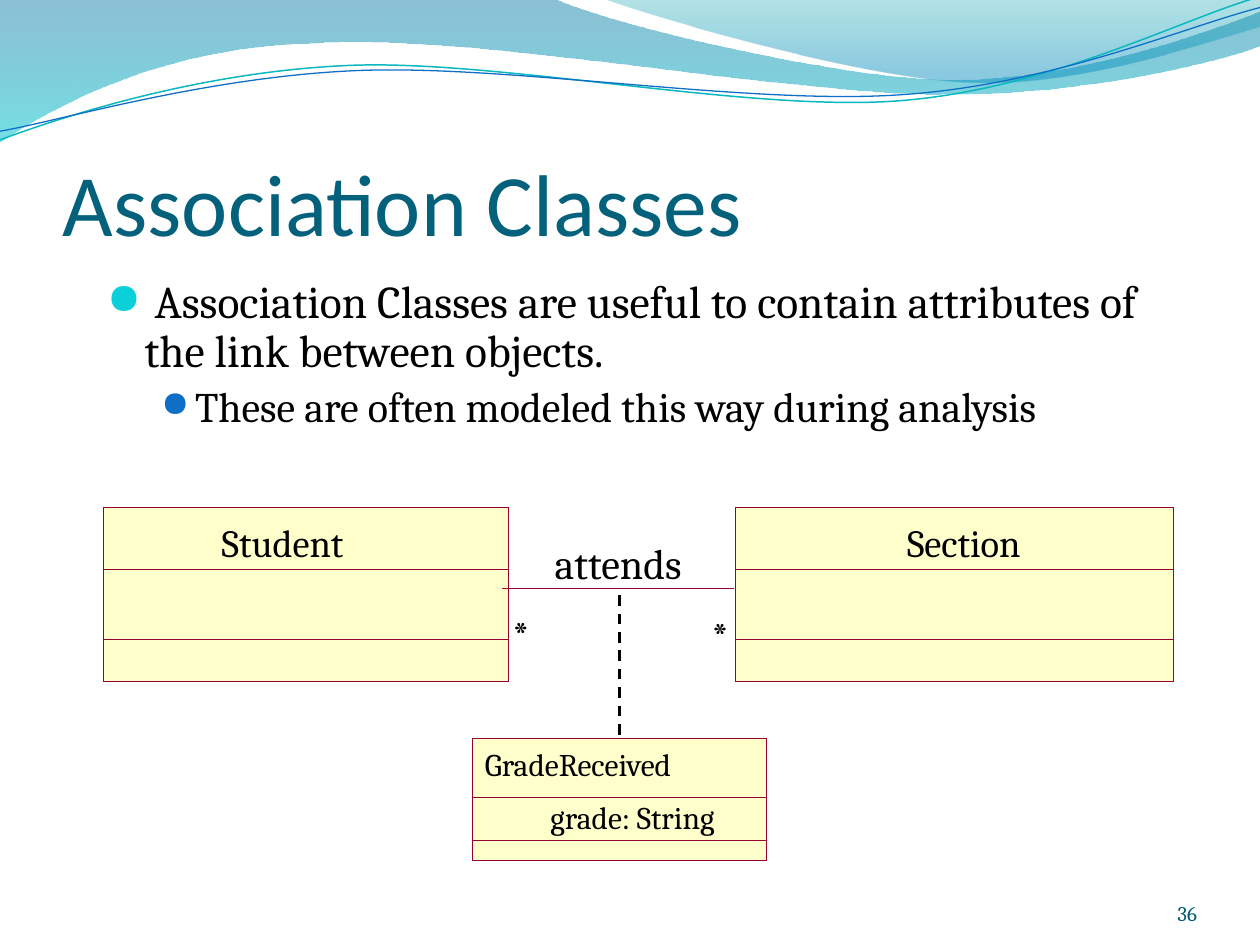
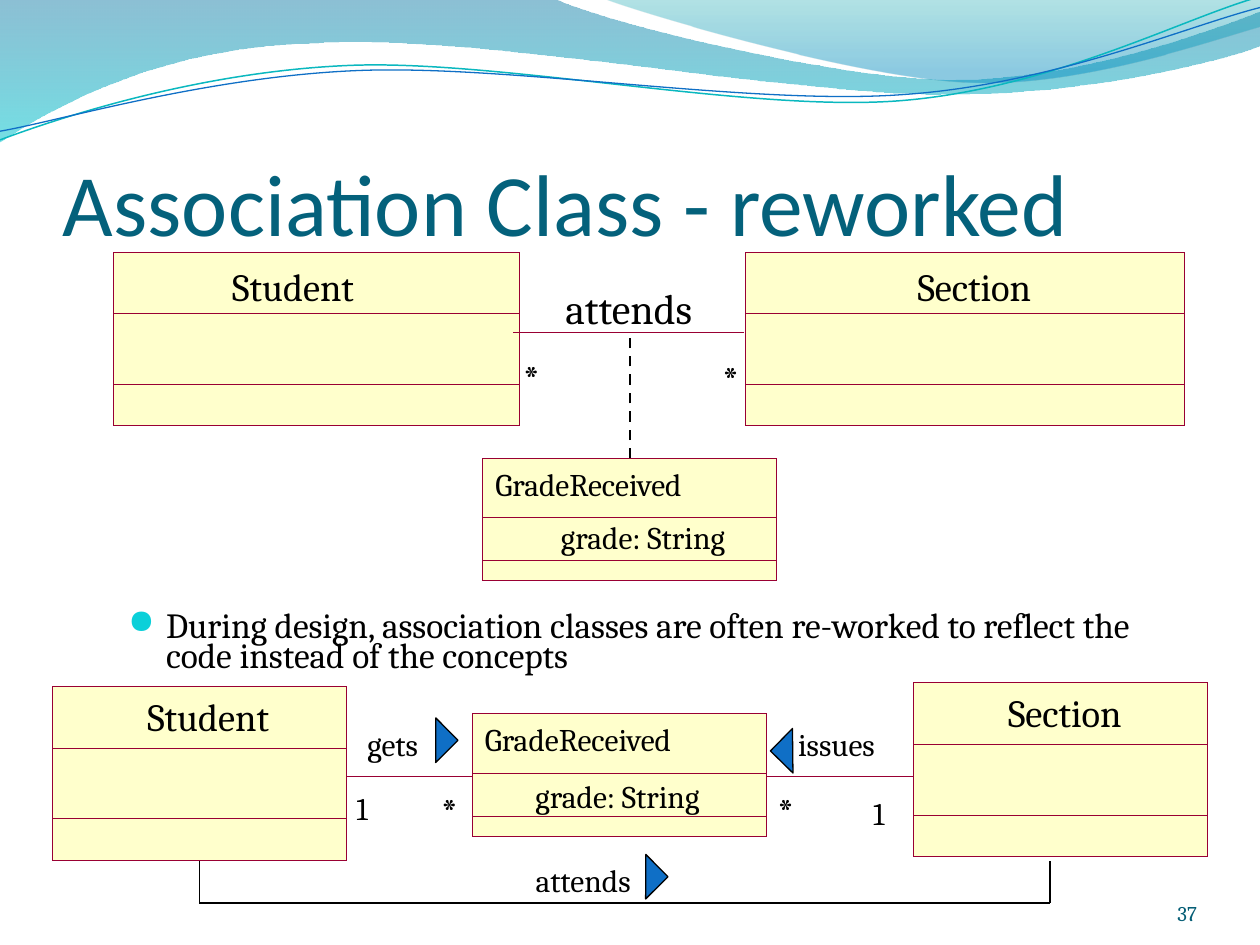
from lxml import etree
from pptx import Presentation
from pptx.dml.color import RGBColor
from pptx.enum.dml import MSO_LINE
from pptx.enum.shapes import MSO_CONNECTOR, MSO_SHAPE
from pptx.enum.text import MSO_ANCHOR, MSO_AUTO_SIZE, PP_ALIGN
from pptx.oxml.ns import qn
from pptx.util import Pt

RECTANGLE, RIGHT_TRIANGLE = MSO_SHAPE.RECTANGLE, MSO_SHAPE.RIGHT_TRIANGLE
STRAIGHT, DASH = MSO_CONNECTOR.STRAIGHT, MSO_LINE.DASH
TOP, BOTTOM = MSO_ANCHOR.TOP, MSO_ANCHOR.BOTTOM
LEFT, RIGHT = PP_ALIGN.LEFT, PP_ALIGN.RIGHT

HEADING_FONT, BODY_FONT, BULLET_FONT = "Calibri", "Cambria", "OpenSymbol"
TITLE_COLOR, NUMBER_COLOR, BLACK = "04617B", "045D75", "000000"
CLASS_FILL, CLASS_LINE, ARROW_FILL = "FFFFCC", "990033", "0F6FC6"
DEFAULT_INSETS, NO_INSETS = (7.2, 3.6, 7.2, 3.6), (0, 0, 0, 0)

# Each path is a start point, then lines (2 numbers) and cubic curves (6 numbers).
BANDS = [
    ([(0, 0), (316.8, -0.7), (342.7, 12.2, 478.1, 45.4, 545.8, 45.4),
      (614.2, 45.4, 689.8, 18.7, 720, 6.5), (720.7, 25.9),
      (707.8, 31.7, 626.4, 54.7, 537.1, 54), (447.8, 54, 275, 20.2, 185, 24.5),
      (92.9, 25.9, 33.1, 59.8, -0.7, 81.4)],
     [(0, "0074A1", 45), (1, "00C6CF", 55)]),
    ([(344.9, -0.7), (366.5, 7.9, 491, 44.6, 553.7, 46.8),
      (616.3, 49.7, 691.9, 23, 720, 15.1), (720, 0)],
     [(0, "00A1A9", 30), (0.8, "008BBF", 45)]),
]
STRAND_ROTATION = 357.3
STRANDS = [
    ([(-1.4, 63), (33.8, 51.7, 114.1, 29.4, 199.8, 29.9),
      (284.9, 30.3, 425.8, 67.3, 512.4, 64.9),
      (599, 62.4, 676.5, 25.7, 720.2, 15.5)], "0AB8BF", 0.85),
    ([(-1.1, 58), (32.9, 53.8, 118.3, 32.5, 204.1, 33),
      (290.6, 33.4, 428.9, 63.8, 515.5, 61.4),
      (601.3, 59.6, 678.5, 30.1, 721.4, 21.3)], "0F6FC6", 0.75),
]

# Bullet levels: indent, hanging, bullet colour, bullet size in percent
LEVELS = [(21.6, 21.6, "0BD0D9", 95), (50.4, 19.4, "0F6FC6", 85)]
# Bullets: level, text, size
USEFUL_BULLETS = [
    (0, " Association Classes are useful to contain attributes of the link between objects.", 26),
    (1, "These are often modeled this way during analysis", 24),
]
REWORK_BULLETS = [
    (0, "During design, association classes are often re-worked to reflect the code "
        "instead of the concepts", 20.2),
]

NAME_WIDTHS = {"Student": 75.6, "Section": 73.4}
CLASS_HEIGHT, DIVIDERS = 99.4, (35.3, 75.6)
SMALL_WIDTH = 167.8
SMALL_CLASSES = [("Section", 522, 390.2), ("Student", 30.2, 392.4)]
# Labels: text, left, top, width, size, insets
REWORK_LABELS = [
    ("*", 444.2, 450, 8.6, 22, NO_INSETS),
    ("*", 252, 450, 8.6, 22, NO_INSETS),
    ("gets", 210, 414.2, 33.8, 18, NO_INSETS),
    ("issues", 456, 414.2, 51.1, 18, NO_INSETS),
    ("attends", 306, 492, 59, 18, NO_INSETS),
    ("1", 196.6, 447.1, 24.5, 18, DEFAULT_INSETS),
    ("1", 491.8, 450, 24.5, 18, DEFAULT_INSETS),
]
REWORK_LINKS = [(522, 437.8), (270, 198)]
LINK_Y = 444
ARROWS = [(240, 414, 225.2), (444, 420, 44.4), (360, 492, 225.2)]
ATTENDS_ROUTE = [(114, 492), (114, 516), (600, 516), (600, 492)]


def rgb(color):
    return RGBColor.from_string(color)


def set_line(shape, color, width):
    """Colour a line; width 0 is written out, as it means a hairline."""
    shape.line.color.rgb = rgb(color)
    shape.element.spPr.find(qn("a:ln")).set("w", str(Pt(width)))


def style_frame(shape, insets, anchor=TOP):
    frame = shape.text_frame
    frame.word_wrap = True
    frame.vertical_anchor = anchor
    frame.margin_left, frame.margin_top, frame.margin_right, frame.margin_bottom = map(Pt, insets)
    return frame


def add_run(paragraph, text, size, color=BLACK, font=BODY_FONT, align=LEFT):
    paragraph.alignment = align
    run = paragraph.add_run()
    run.text = text
    run.font.size = Pt(size)
    run.font.name = font
    run.font.color.rgb = rgb(color)


def add_textbox(slide, box, insets, anchor=TOP):
    return style_frame(slide.shapes.add_textbox(*map(Pt, box)), insets, anchor)


def add_label(slide, text, left, top, width, size, insets=NO_INSETS):
    """Add one unwrapped line of text in a box that fits it."""
    height = 1.2 * size + insets[1] + insets[3]
    frame = add_textbox(slide, (left, top, width, height), insets)
    frame.word_wrap = False
    frame.auto_size = MSO_AUTO_SIZE.SHAPE_TO_FIT_TEXT
    add_run(frame.paragraphs[0], text, size)


def add_box(slide, left, top, width, height, fill=None, line=CLASS_LINE, line_width=0,
            kind=RECTANGLE):
    shape = slide.shapes.add_shape(kind, *map(Pt, (left, top, width, height)))
    shape.shadow.inherit = False
    if fill:
        shape.fill.solid()
        shape.fill.fore_color.rgb = rgb(fill)
    else:
        shape.fill.background()
    set_line(shape, line, line_width)
    return shape


def add_line(slide, start, end, color=CLASS_LINE, width=0, dash=None):
    connector = slide.shapes.add_connector(STRAIGHT, *map(Pt, (*start, *end)))
    set_line(connector, color, width)
    if dash:
        connector.line.dash_style = dash
    etree.SubElement(connector.element.spPr, qn("a:effectLst"))


def add_path(slide, path, close):
    """Build a polygon through all points, then bend its curved parts."""
    points = [(Pt(x), Pt(y)) for segment in path
              for x, y in zip(segment[::2], segment[1::2])]
    builder = slide.shapes.build_freeform(*points[0])
    builder.add_line_segments(points[1:], close=close)
    shape = builder.convert_to_shape()
    shape.shadow.inherit = False
    lines = list(shape.element.iter(qn("a:lnTo")))
    for segment in path[1:]:
        count = len(segment) // 2
        first, *others = lines[:count]
        lines = lines[count:]
        if others:
            first.tag = qn("a:cubicBezTo")
        for line in others:
            first.append(line[0])
            line.getparent().remove(line)
    return shape


def add_waves(slide):
    for path, stops in BANDS:
        shape = add_path(slide, path, True)
        shape.line.fill.background()
        shape.fill.gradient()
        shape.fill.gradient_angle = 270
        for gradient_stop, (position, color, _) in zip(shape.fill.gradient_stops, stops):
            gradient_stop.position = position
            gradient_stop.color.rgb = rgb(color)
        for element, (_, _, opacity) in zip(shape.element.iter(qn("a:srgbClr")), stops):
            etree.SubElement(element, qn("a:alpha"), val=str(opacity * 1000))
    for path, color, width in STRANDS:
        shape = add_path(slide, path, False)
        shape.rotation = STRAND_ROTATION
        shape.fill.background()
        set_line(shape, color, width)


def add_bullets(slide, box, bullets, line_spacing):
    frame = add_textbox(slide, box, DEFAULT_INSETS)
    for index, (level, text, size) in enumerate(bullets):
        paragraph = frame.add_paragraph() if index else frame.paragraphs[0]
        indent, hanging, color, percent = LEVELS[level]
        properties = paragraph._p.get_or_add_pPr()
        properties.set("marL", str(Pt(indent)))
        properties.set("indent", str(-Pt(hanging)))
        bullet_color = etree.SubElement(properties, qn("a:buClr"))
        etree.SubElement(bullet_color, qn("a:srgbClr"), val=color)
        etree.SubElement(properties, qn("a:buSzPct"), val=str(percent * 1000))
        etree.SubElement(properties, qn("a:buFont"), typeface=BULLET_FONT)
        etree.SubElement(properties, qn("a:buChar"), char="●")
        paragraph.level = level
        paragraph.line_spacing = line_spacing
        if index:
            paragraph.space_before = Pt(0.2 * size)
        add_run(paragraph, text, size)


def add_class(slide, name, left, top, width, name_offset):
    add_box(slide, left, top, width, CLASS_HEIGHT, CLASS_FILL)
    add_label(slide, name, left + name_offset[0], top + name_offset[1], NAME_WIDTHS[name], 22)
    for divider in DIVIDERS:
        add_box(slide, left, top + divider, width, CLASS_HEIGHT - divider)


def add_grade_class(slide, left, top, attribute_offset=(44.6, 34)):
    box = add_box(slide, left, top, SMALL_WIDTH, 69.8, CLASS_FILL)
    add_run(style_frame(box, DEFAULT_INSETS).paragraphs[0], "GradeReceived", 18)
    add_box(slide, left, top + 34, SMALL_WIDTH, 24.5, CLASS_FILL)
    add_label(slide, "grade: String", left + attribute_offset[0], top + attribute_offset[1],
              103, 18)


def add_association(slide, left, top, dash_top, dash_bottom, grade_top):
    """Draw Student attends Section, with its association class below."""
    add_class(slide, "Student", left, top, 231.8, (67.7, 6.5))
    add_class(slide, "Section", left + 361, top, 250.6, (98.3, 6.5))
    add_line(slide, (left + 360, top + 46.2), (left + 228.2, top + 46.2))
    add_label(slide, "*", left + 347.8, top + 59, 8.6, 22)
    add_label(slide, "*", left + 234, top + 58.3, 8.6, 22)
    add_label(slide, "attends", left + 258, top + 17.3, 78.5, 24)
    add_grade_class(slide, left + 211, grade_top)
    add_line(slide, (left + 295, dash_bottom), (left + 295, dash_top), BLACK, 1.5, DASH)


def add_slide(presentation, title):
    slide = presentation.slides.add_slide(presentation.slide_layouts[6])
    add_waves(slide)
    frame = add_textbox(slide, (36, 55.4, 648, 90), (0, 3.6, 0, 0), BOTTOM)
    add_run(frame.paragraphs[0], title, 50, TITLE_COLOR, HEADING_FONT)
    return slide


def add_number(slide, number):
    frame = add_textbox(slide, (624.2, 500.4, 59.8, 28.8), NO_INSETS, BOTTOM)
    add_run(frame.paragraphs[0], str(number), 12, NUMBER_COLOR, align=RIGHT)


def add_analysis_slide(presentation):
    slide = add_slide(presentation, "Association Classes")
    add_bullets(slide, (54, 156.2, 612, 113.8), USEFUL_BULLETS, 0.9)
    add_association(slide, 59, 290, dash_top=336.2, dash_bottom=419.8, grade_top=422)
    add_number(slide, 36)


def add_design_slide(presentation):
    slide = add_slide(presentation, "Association Class - reworked")
    add_association(slide, 65, 144, dash_top=192.2, dash_bottom=262, grade_top=262)
    for name, left, top in SMALL_CLASSES:
        add_class(slide, name, left, top, SMALL_WIDTH, (54, 3.6))
    add_grade_class(slide, 270, 408, (36, 36.2))
    for start, end in REWORK_LINKS:
        add_line(slide, (start, LINK_Y), (end, LINK_Y))
    for label in REWORK_LABELS:
        add_label(slide, *label)
    for left, top, rotation in ARROWS:
        arrow = add_box(slide, left, top, 18, 18, ARROW_FILL, BLACK, 0.75, RIGHT_TRIANGLE)
        arrow.rotation = rotation
    for start, end in zip(ATTENDS_ROUTE, ATTENDS_ROUTE[1:]):
        add_line(slide, start, end, BLACK, 0.75)
    add_bullets(slide, (66.2, 347.8, 594, 41.8), REWORK_BULLETS, 0.7)
    add_number(slide, 37)


def main():
    presentation = Presentation()
    presentation.slide_width, presentation.slide_height = Pt(720), Pt(540)
    add_analysis_slide(presentation)
    add_design_slide(presentation)
    presentation.save("out.pptx")


if __name__ == "__main__":
    main()
